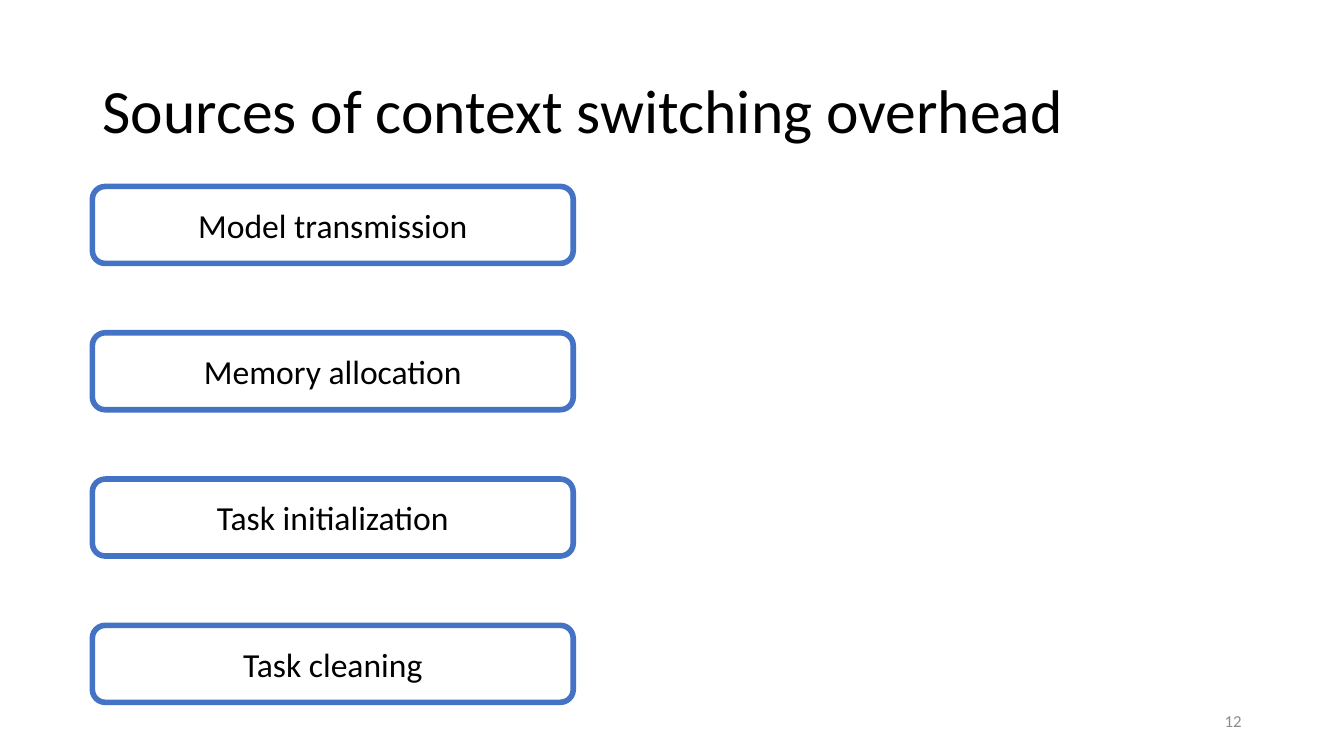
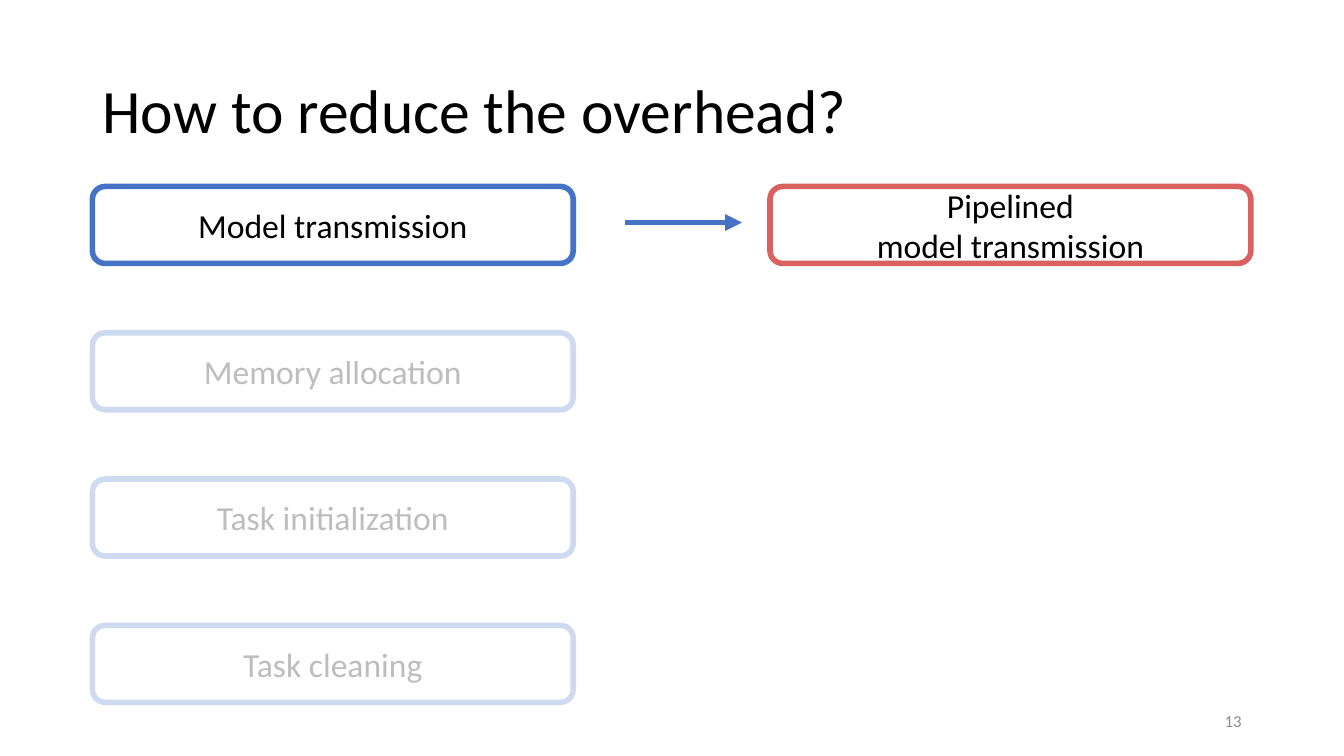
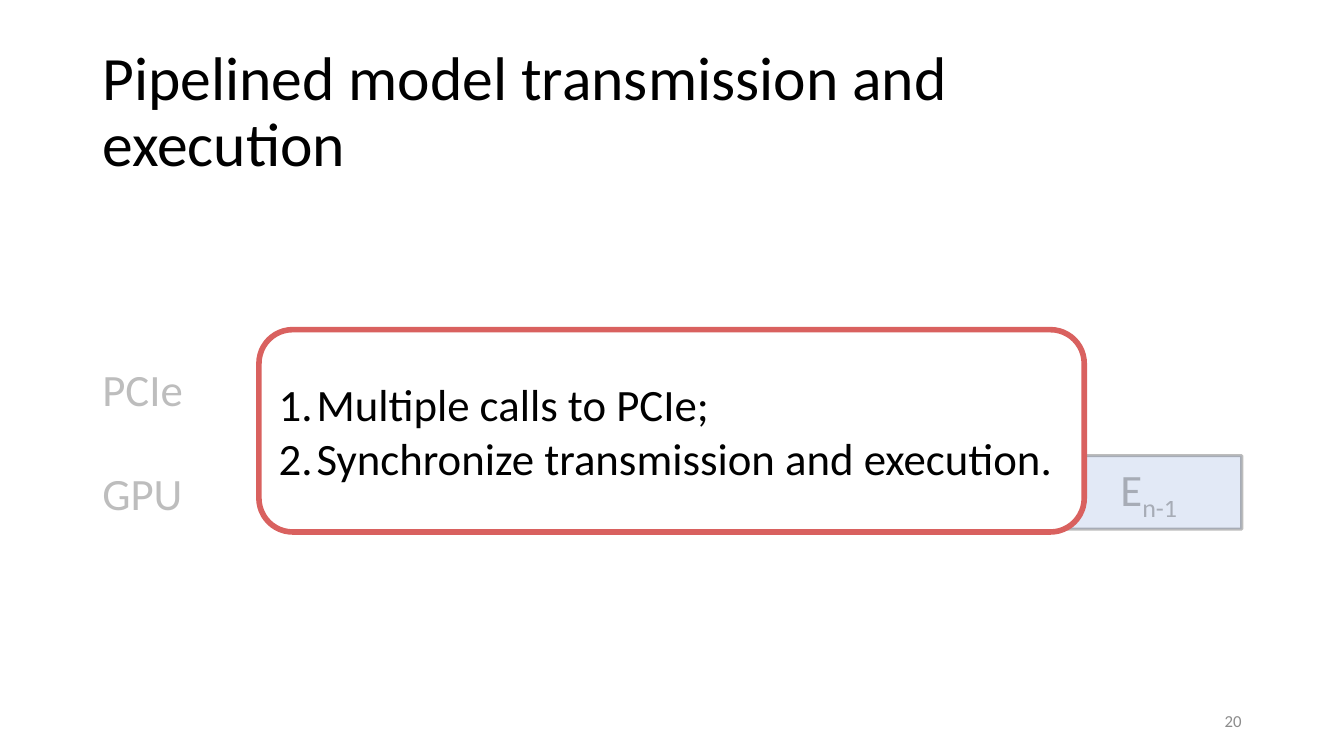
import pptx
import pptx.dml.color
import pptx.enum.shapes
import pptx.enum.text
import pptx.oxml
import pptx.oxml.ns
import pptx.util

Pt = pptx.util.Pt
RGB = pptx.dml.color.RGBColor.from_string
SHAPE = pptx.enum.shapes.MSO_SHAPE
ALIGN = pptx.enum.text.PP_ALIGN
ANCHOR = pptx.enum.text.MSO_ANCHOR
FIT = pptx.enum.text.MSO_AUTO_SIZE
qn = pptx.oxml.ns.qn

COLORS = {"text": "000000", "white": "FFFFFF", "number": "8C8C8C",
          "blue": "4472C4", "red": "D9615F", "execution": "8FAADC"}
FONT = "Calibri"
LEFT = 66

# Overhead rows: equal steps down the slide
SOURCES = ["Model transmission", "Memory allocation", "Task initialization", "Task cleaning"]
ROW_TOP, ROW_STEP, ROW_WIDTH, ROW_HEIGHT = 133.2, 104.5, 343.5, 55
SOLUTION_LEFT = 550


def write(shape, lines, size, align, color="text", frame_format=None):
    """Fill a shape with paragraphs; text after an underscore is a subscript."""
    frame = shape.text_frame
    settings = {"word_wrap": True, "auto_size": FIT.NONE,
                "vertical_anchor": ANCHOR.MIDDLE, **(frame_format or {})}
    for name, value in settings.items():
        setattr(frame, name, value)
    for index, line in enumerate(lines):
        paragraph = frame.add_paragraph() if index else frame.paragraphs[0]
        paragraph.alignment = align
        for level, piece in enumerate(line.split("_")):
            run = paragraph.add_run()
            run.text = piece
            for name, value in {"name": FONT, "size": Pt(size)}.items():
                setattr(run.font, name, value)
            run.font.color.rgb = RGB(COLORS[color])
            if level:
                run.font._element.set("baseline", "-25000")


def add_box(slide, kind, place, lines, line_color, fill="white", size=24,
            align=ALIGN.CENTER, line_width=4, faded=False):
    """Add an outlined box with text, at quarter opacity if faded."""
    box = slide.shapes.add_shape(kind, *map(Pt, place))
    box.shadow.inherit = False
    box.fill.solid()
    box.fill.fore_color.rgb = RGB(COLORS[fill])
    box.line.color.rgb = RGB(COLORS[line_color])
    box.line.width = Pt(line_width)
    write(box, lines, size, align)
    if faded:
        for color in box._element.iter(qn("a:srgbClr")):
            pptx.oxml.ns  # namespace map used by the element below
            color.append(pptx.oxml.parse_xml(ALPHA))
    return box


ALPHA = f'<a:alpha {pptx.oxml.ns.nsdecls("a")} val="25000"/>'

deck = pptx.Presentation()
deck.slide_width, deck.slide_height = Pt(960), Pt(540)

# Titles and slide numbers
slides = []
for heading, number, title_width in [
    ("Sources of context switching overhead", "12", 828),
    ("How to reduce the overhead?", "13", 828),
    ("Pipelined model transmission and execution", "20", 742),
]:
    slide = deck.slides.add_slide(deck.slide_layouts[5])
    title = slide.shapes.title
    title.left, title.top, title.width, title.height = map(Pt, (LEFT, 28.8, title_width, 104.4))
    write(title, [heading], 44, ALIGN.LEFT)
    title.text_frame.paragraphs[0].line_spacing = 0.9
    slide_number = slide.shapes.add_textbox(*map(Pt, (678, 500.5, 216, 28.8)))
    write(slide_number, [number], 12, ALIGN.RIGHT, "number")
    slides.append(slide)
sources_slide, reduce_slide, pipeline_slide = slides

# Sources of overhead, all but the first faded on the second slide
for slide in (sources_slide, reduce_slide):
    for row, source in enumerate(SOURCES):
        place = (LEFT, ROW_TOP + row * ROW_STEP, ROW_WIDTH, ROW_HEIGHT)
        add_box(slide, SHAPE.ROUNDED_RECTANGLE, place, [source], "blue",
                faded=slide is reduce_slide and row > 0)

# Solution for the first source
add_box(reduce_slide, SHAPE.ROUNDED_RECTANGLE,
        (SOLUTION_LEFT, ROW_TOP, ROW_WIDTH, ROW_HEIGHT),
        ["Pipelined", "model transmission"], "red")
arrow = reduce_slide.shapes.add_connector(
    pptx.enum.shapes.MSO_CONNECTOR.STRAIGHT, *map(Pt, (446.5, 159, 530, 159)))
arrow.line.color.rgb = RGB(COLORS["blue"])
arrow.line.width = Pt(4)
arrow.line._get_or_add_ln().append(pptx.oxml.parse_xml(
    f'<a:tailEnd {pptx.oxml.ns.nsdecls("a")} type="triangle"/>'))
arrow._element.spPr.append(pptx.oxml.parse_xml(
    f'<a:effectLst {pptx.oxml.ns.nsdecls("a")}/>'))

# Faded timeline behind the callout
for lane, top in (("PCIe", 255), ("GPU", 329)):
    lane_label = pipeline_slide.shapes.add_textbox(*map(Pt, (LEFT, top, 72.5, 46)))
    write(lane_label, [lane], 32, ALIGN.LEFT, frame_format={
        "word_wrap": False, "auto_size": FIT.SHAPE_TO_FIT_TEXT,
        "vertical_anchor": ANCHOR.TOP})
    for color in lane_label._element.iter(qn("a:srgbClr")):
        color.append(pptx.oxml.parse_xml(ALPHA))
add_box(pipeline_slide, SHAPE.RECTANGLE, (754, 325.5, 133, 52.5), ["E_n-1"], "text",
        fill="execution", size=32, line_width=2.25, faded=True)

# Numbered callout
costs = add_box(pipeline_slide, SHAPE.ROUNDED_RECTANGLE, (185, 235.5, 589.5, 144.5),
                ["Multiple calls to PCIe;", "Synchronize transmission and execution."],
                "red", size=32, align=ALIGN.LEFT)
for paragraph in costs.text_frame.paragraphs:
    properties = paragraph._p.get_or_add_pPr()
    properties.set("marL", str(Pt(27)))
    properties.set("indent", str(-Pt(27)))
    properties.append(pptx.oxml.parse_xml(
        f'<a:buAutoNum {pptx.oxml.ns.nsdecls("a")} type="arabicPeriod"/>'))

deck.save("out.pptx")
